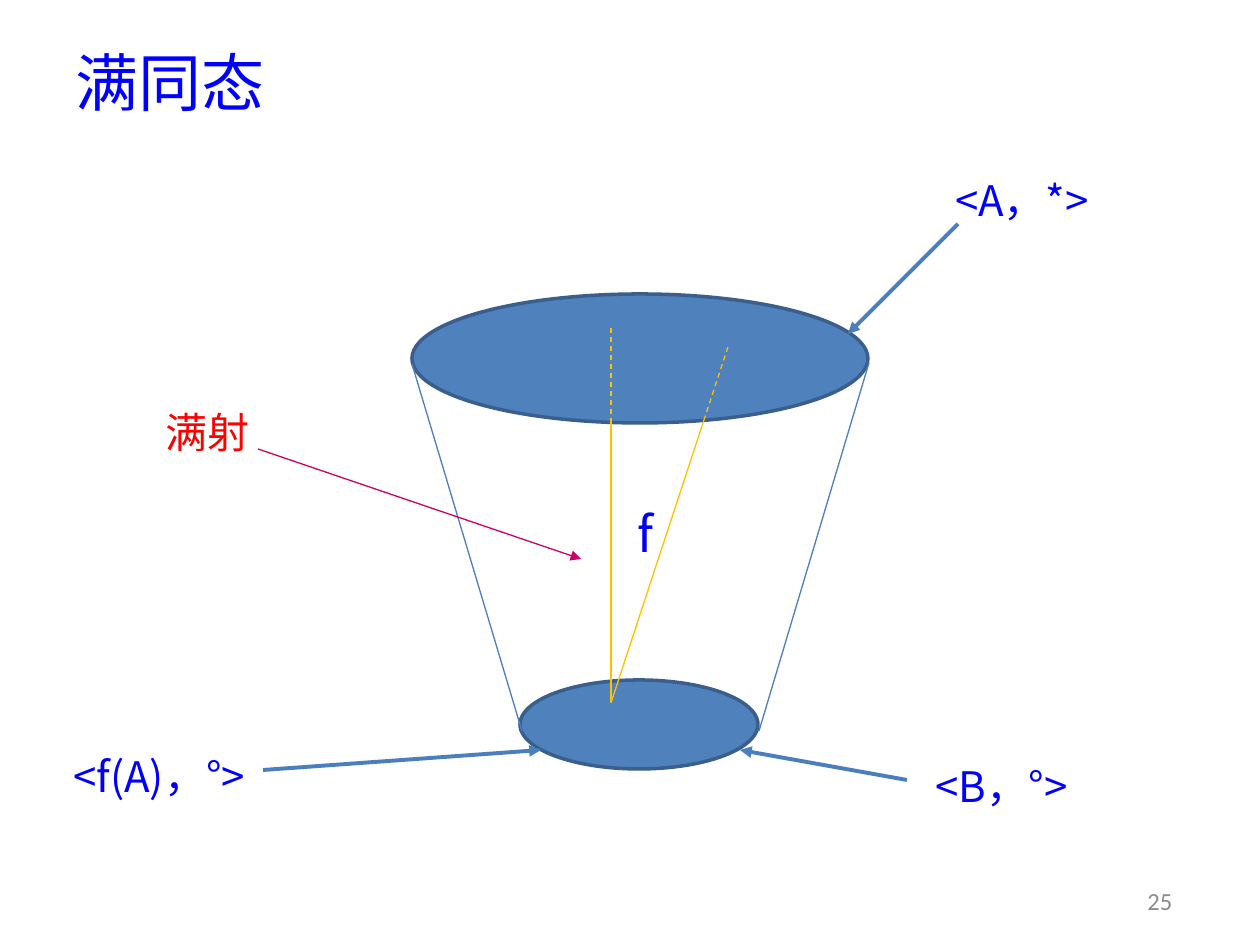
import dataclasses

import pptx
import pptx.dml.color
import pptx.enum.dml
import pptx.enum.shapes
import pptx.enum.text
import pptx.oxml
import pptx.oxml.ns
import pptx.util

EMU_PER_PX = 914400 / 126
CJK_FONT = "Noto Sans CJK SC"
COLORS = {
    "text": "0000FF",
    "accent_text": "FF0000",
    "number": "8C8C8C",
    "ellipse": "4F81BD",
    "outline": "3A5F8C",
    "edge": "4B7EBC",
    "mapping": "FFC000",
    "pointer": "CC0066",
}


@dataclasses.dataclass(frozen=True)
class Box:
    left: int
    top: int
    width: int
    height: int


@dataclasses.dataclass(frozen=True)
class Label:
    text: str
    box: Box
    size: int = 24
    color: str = "text"
    font: str = CJK_FONT
    rounded: bool = False


@dataclasses.dataclass(frozen=True)
class Line:
    start: tuple[int, int]
    end: tuple[int, int]
    color: str = "edge"
    width: float = 0.75
    dashed: bool = False
    arrow: bool = False


TITLE = Label("满同态", Box(63, 28, 1134, 107), size=36)
ELLIPSES = [Box(412, 294, 456, 129), Box(520, 680, 238, 89)]
LINES = [
    # Sides of the cone
    Line((412, 364), (522, 731)),
    Line((869, 363), (759, 731)),
    # Arrows from the labels to the sets
    Line((958, 224), (848, 334), width=2.25, arrow=True),
    Line((263, 770), (541, 750), width=2.25, arrow=True),
    Line((907, 780), (740, 750), width=2.25, arrow=True),
    # Two elements mapped to one image
    Line((611, 422), (611, 702), "mapping"),
    Line((611, 328), (611, 423), "mapping", dashed=True),
    Line((704, 420), (611, 703), "mapping"),
    Line((728, 347), (704, 420), "mapping", dashed=True),
    # Pointer to the surjection
    Line((258, 449), (581, 559), "pointer", arrow=True),
]
LABELS = [
    Label("<f(A)，°>", Box(25, 741, 268, 69)),
    Label("<A，*>", Box(858, 165, 328, 69)),
    Label("<B，°>", Box(868, 751, 267, 69)),
    Label("f", Box(561, 503, 169, 59), size=28),
    Label("满射", Box(140, 403, 136, 57), color="accent_text", rounded=True),
    Label("25", Box(1123, 876, 74, 50), 14, "number", "Calibri"),
]


def px(value: int) -> int:
    return round(value * EMU_PER_PX)


def rgb(name: str) -> pptx.dml.color.RGBColor:
    return pptx.dml.color.RGBColor.from_string(COLORS[name])


def bounds(box: Box) -> tuple[int, ...]:
    return tuple(px(value) for value in dataclasses.astuple(box))


def write_text(shape, label: Label, alignment) -> None:
    frame = shape.text_frame
    frame.word_wrap = True
    frame.auto_size = pptx.enum.text.MSO_AUTO_SIZE.NONE
    frame.vertical_anchor = pptx.enum.text.MSO_ANCHOR.MIDDLE
    paragraph = frame.paragraphs[0]
    paragraph.alignment = alignment
    run = paragraph.add_run()
    run.text = label.text
    run.font.size = pptx.util.Pt(label.size)
    run.font.name = label.font
    run.font.color.rgb = rgb(label.color)
    east_asian = pptx.oxml.parse_xml(
        f'<a:ea {pptx.oxml.ns.nsdecls("a")} typeface="{label.font}"/>'
    )
    run.font._element.find(pptx.oxml.ns.qn("a:latin")).addnext(east_asian)


def add_title(slide, label: Label) -> None:
    title = slide.shapes.title
    title.left, title.top, title.width, title.height = bounds(label.box)
    write_text(title, label, pptx.enum.text.PP_ALIGN.LEFT)


def add_ellipse(slide, box: Box) -> None:
    shape = slide.shapes.add_shape(
        pptx.enum.shapes.MSO_SHAPE.OVAL, *bounds(box)
    )
    shape.shadow.inherit = False
    shape.fill.solid()
    shape.fill.fore_color.rgb = rgb("ellipse")
    shape.line.color.rgb = rgb("outline")
    shape.line.width = pptx.util.Pt(2)


def add_line(slide, line: Line) -> None:
    connector = slide.shapes.add_connector(
        pptx.enum.shapes.MSO_CONNECTOR.STRAIGHT,
        *(px(value) for value in line.start + line.end),
    )
    connector.line.color.rgb = rgb(line.color)
    connector.line.width = pptx.util.Pt(line.width)
    if line.dashed:
        connector.line.dash_style = pptx.enum.dml.MSO_LINE.DASH
    namespace = pptx.oxml.ns.nsdecls("a")
    if line.arrow:
        connector.line._get_or_add_ln().append(
            pptx.oxml.parse_xml(f'<a:tailEnd {namespace} type="triangle"/>')
        )
    connector._element.spPr.append(
        pptx.oxml.parse_xml(f"<a:effectLst {namespace}/>")
    )


def add_label(slide, label: Label) -> None:
    if label.rounded:
        shape = slide.shapes.add_shape(
            pptx.enum.shapes.MSO_SHAPE.ROUNDED_RECTANGLE, *bounds(label.box)
        )
        shape.shadow.inherit = False
        shape.fill.background()
        shape.line.fill.background()
    else:
        shape = slide.shapes.add_textbox(*bounds(label.box))
    write_text(shape, label, pptx.enum.text.PP_ALIGN.CENTER)


def main() -> None:
    presentation = pptx.Presentation()
    presentation.slide_width = px(1260)
    presentation.slide_height = px(945)
    slide = presentation.slides.add_slide(presentation.slide_layouts[5])

    add_title(slide, TITLE)
    for box in ELLIPSES:
        add_ellipse(slide, box)
    for line in LINES:
        add_line(slide, line)
    for label in LABELS:
        add_label(slide, label)

    presentation.save("out.pptx")


if __name__ == "__main__":
    main()
